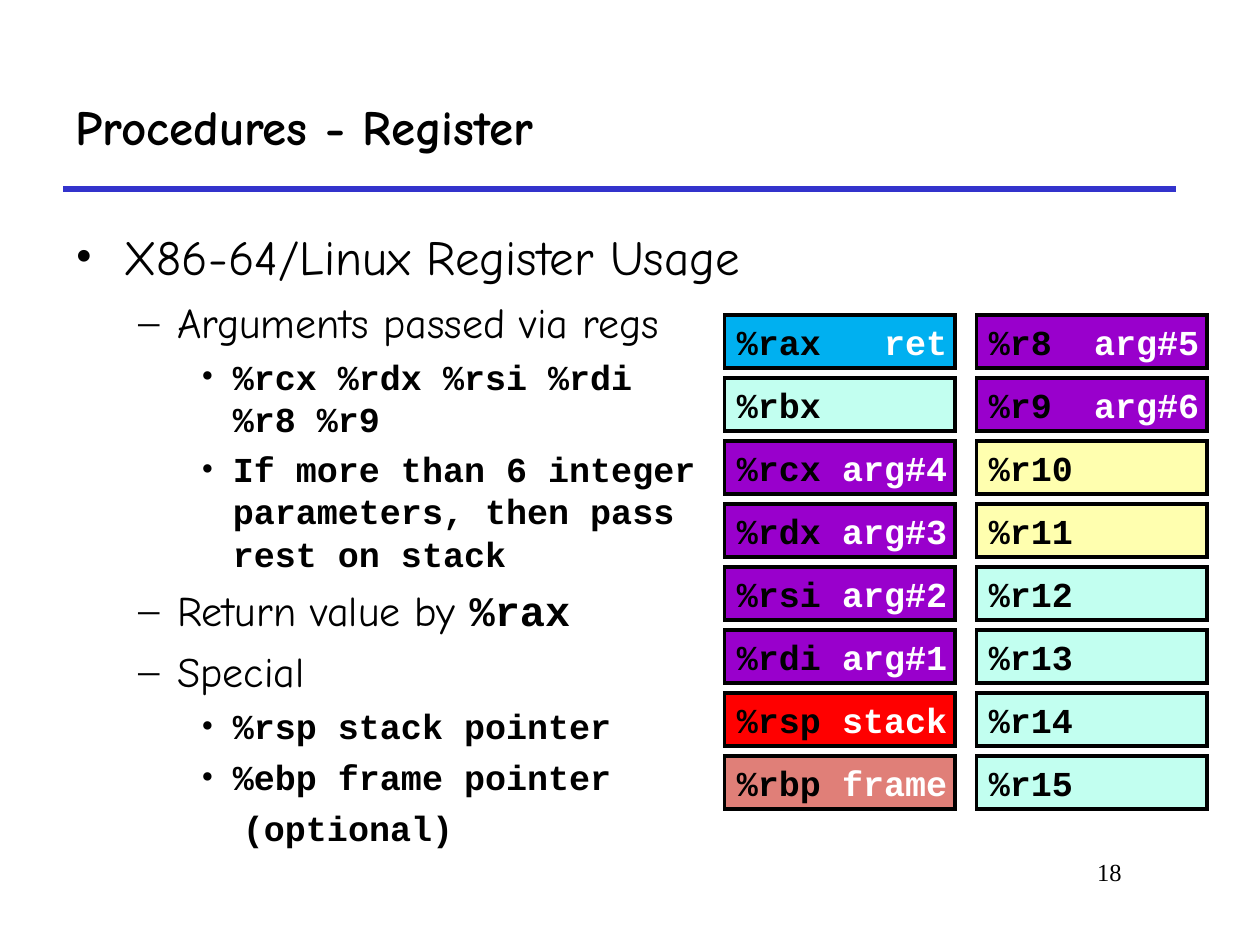
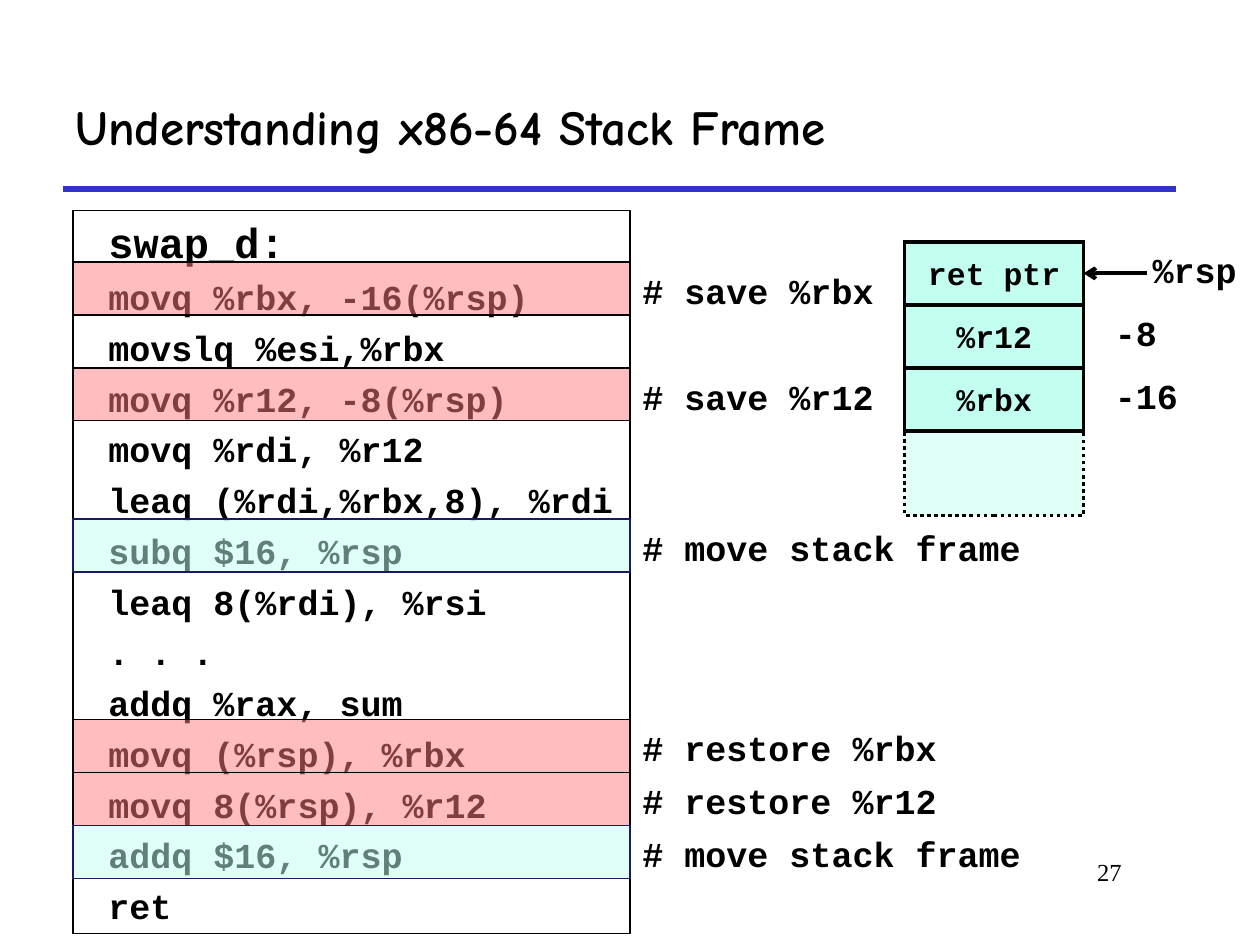
from typing import NamedTuple, Optional

from pptx import Presentation
from pptx.dml.color import RGBColor
from pptx.enum.dml import MSO_LINE_DASH_STYLE as Dash
from pptx.enum.shapes import MSO_CONNECTOR as Connector, MSO_SHAPE as Shape
from pptx.enum.text import MSO_ANCHOR as Anchor, PP_ALIGN as Align
from pptx.oxml.ns import qn
from pptx.util import Inches, Pt
from lxml.etree import SubElement

BLACK = RGBColor(0x00, 0x00, 0x00)
WHITE = RGBColor(0xFF, 0xFF, 0xFF)
RULE_BLUE = RGBColor(0x33, 0x33, 0xCC)
NAVY = RGBColor(0x19, 0x19, 0x66)
MINT = RGBColor(0xC2, 0xFF, 0xF0)
PURPLE = RGBColor(0x99, 0x00, 0xCC)
SKY = RGBColor(0x00, 0xB0, 0xF0)
RED = RGBColor(0xFF, 0x00, 0x00)
ROSE = RGBColor(0xE0, 0x7F, 0x78)
YELLOW = RGBColor(0xFF, 0xFF, 0xAF)
SALMON = RGBColor(0xFF, 0x7C, 0x80)


class Style(NamedTuple):
    font: str
    size: float
    bold: bool = False
    colour: RGBColor = BLACK


TITLE = Style("Comic Neue", 28, True)
TOPIC = Style("Comic Neue", 28)
SUBTOPIC = Style("Comic Neue", 24)
CODE_HEAD = Style("Courier New", 24, True)
CODE = Style("Courier New", 20, True)
CODE_ROLE = Style("Courier New", 20, True, WHITE)
CODE_SMALL = Style("Courier New", 18, True)
PAGE_NUMBER = Style("Times New Roman", 14)


class Area(NamedTuple):
    left: float
    top: float
    width: float
    height: float

    def lengths(self) -> list:
        return [Inches(value) for value in self]


class Insets(NamedTuple):
    left: float = 0.1
    top: float = 0.05
    right: float = 0.1
    bottom: float = 0.05


class Level(NamedTuple):
    margin: float
    hanging: float
    before: float
    bullet: str
    style: Style


TOP = Level(0.38, 0.38, 7, "•", TOPIC)
DASHED = Level(0.81, 0.31, 6, "–", SUBTOPIC)
DETAIL = Level(1.25, 0.25, 5, "•", CODE)
CONTINUED = Level(1.33, 0, 5, "", CODE)


class Point(NamedTuple):
    level: Level
    text: str
    code: str = ""


class Register(NamedTuple):
    name: str
    fill: RGBColor = MINT
    role: str = ""


class Step(NamedTuple):
    top: float
    fill: RGBColor
    edge: RGBColor
    note: str


POINTS = [
    Point(TOP, "X86-64/Linux Register Usage"),
    Point(DASHED, "Arguments passed via regs"),
    Point(DETAIL, "%rcx %rdx %rsi %rdi\v%r8 %r9"),
    Point(DETAIL, "If more than 6 integer\vparameters, then pass\vrest on stack"),
    Point(DASHED, "Return value by ", "%rax"),
    Point(DASHED, "Special"),
    Point(DETAIL, "%rsp stack pointer"),
    Point(DETAIL, "%ebp frame pointer"),
    Point(CONTINUED, "(optional)"),
]

REGISTER_COLUMNS = [
    [
        Register("%rax", SKY, "ret"),
        Register("%rbx"),
        Register("%rcx", PURPLE, "arg#4"),
        Register("%rdx", PURPLE, "arg#3"),
        Register("%rsi", PURPLE, "arg#2"),
        Register("%rdi", PURPLE, "arg#1"),
        Register("%rsp", RED, "stack"),
        Register("%rbp", ROSE, "frame"),
    ],
    [
        Register("%r8", PURPLE, "arg#5"),
        Register("%r9", PURPLE, "arg#6"),
        Register("%r10", YELLOW),
        Register("%r11", YELLOW),
        Register("%r12"),
        Register("%r13"),
        Register("%r14"),
        Register("%r15"),
    ],
]

SWAP_CODE = [
    "swap_d:",
    "movq %rbx, -16(%rsp)",
    "movslq %esi,%rbx",
    "movq %r12, -8(%rsp)",
    "movq %rdi, %r12",
    "leaq (%rdi,%rbx,8), %rdi",
    "subq $16, %rsp",
    "leaq 8(%rdi), %rsi",
    ". . .",
    "addq %rax, sum",
    "movq (%rsp), %rbx",
    "movq 8(%rsp), %r12",
    "addq $16, %rsp",
    "ret",
]

STEPS = [
    Step(2.08, SALMON, BLACK, "# save %rbx"),
    Step(2.92, SALMON, BLACK, "# save %r12"),
    Step(4.12, MINT, NAVY, "# move stack frame"),
    Step(5.71, SALMON, BLACK, "# restore %rbx"),
    Step(6.13, SALMON, BLACK, "# restore %r12"),
    Step(6.55, MINT, NAVY, "# move stack frame"),
]

STACK_CELLS = ["ret ptr", "%r12", "%rbx"]


def apply_style(span, style: Style) -> None:
    span.font.name = style.font
    span.font.size = Pt(style.size)
    span.font.bold = style.bold
    span.font.color.rgb = style.colour


def write(para, text: str, style: Style, align=Align.LEFT) -> None:
    para.text = text
    para.alignment = align
    for span in para.runs:
        apply_style(span, style)


def append_span(para, text: str, style: Style) -> None:
    span = para.add_run()
    span.text = text
    apply_style(span, style)


def prepare_frame(shape, insets: Insets, anchor=Anchor.TOP):
    frame = shape.text_frame
    frame.word_wrap = True
    frame.vertical_anchor = anchor
    frame.margin_left, frame.margin_top, frame.margin_right, frame.margin_bottom = (
        Inches(value) for value in insets
    )
    return frame


def add_text(page, area: Area, text: str, style: Style, insets: Insets = Insets(),
             anchor=Anchor.TOP, align=Align.LEFT) -> None:
    box = page.shapes.add_textbox(*area.lengths())
    write(prepare_frame(box, insets, anchor).paragraphs[0], text, style, align)


def add_box(page, area: Area, fill: RGBColor, edge: RGBColor = BLACK,
            weight: float = 2, opacity: Optional[int] = None):
    box = page.shapes.add_shape(Shape.RECTANGLE, *area.lengths())
    box.shadow.inherit = False
    box.fill.solid()
    box.fill.fore_color.rgb = fill
    box.line.color.rgb = edge
    box.line.width = Pt(weight)
    SubElement(box.line._get_or_add_ln(), qn("a:miter"), lim="800000")
    if opacity is not None:
        colour = box.fill._xPr.find(qn("a:solidFill"))[0]
        SubElement(colour, qn("a:alpha"), val=str(opacity * 1000))
    return box


def add_line(page, start: tuple, end: tuple, colour: RGBColor, weight: float):
    points = [Inches(value) for value in (*start, *end)]
    line = page.shapes.add_connector(Connector.STRAIGHT, *points)
    line.line.color.rgb = colour
    line.line.width = Pt(weight)
    SubElement(line._element.spPr, qn("a:effectLst"))
    return line


def add_page(deck, title: str, number: str):
    page = deck.slides.add_slide(deck.slide_layouts[6])
    add_line(page, (0.5, 1.5), (9.33, 1.5), RULE_BLUE, 3)
    add_text(page, Area(0.5, 0.5, 8.83, 1), title, TITLE, anchor=Anchor.MIDDLE)
    add_text(page, Area(7.58, 6.75, 1.42, 0.5), number, PAGE_NUMBER, align=Align.RIGHT)
    return page


def set_level(para, level: Level) -> None:
    props = para._p.get_or_add_pPr()
    props.set("marL", str(Inches(level.margin)))
    props.set("indent", str(-Inches(level.hanging)))
    if level.bullet:
        SubElement(props, qn("a:buFont"), typeface="Times New Roman")
        SubElement(props, qn("a:buChar"), char=level.bullet)


def add_points(page, points: list[Point]) -> None:
    box = page.shapes.add_textbox(*Area(0.5, 1.75, 9, 5.42).lengths())
    frame = prepare_frame(box, Insets())
    for index, point in enumerate(points):
        para = frame.add_paragraph() if index else frame.paragraphs[0]
        set_level(para, point.level)
        write(para, point.text, point.level.style)
        if index:
            para.space_before = Pt(point.level.before)
        if point.code:
            append_span(para, point.code, CODE_HEAD)


def add_register(page, left: float, top: float, register: Register) -> None:
    box = add_box(page, Area(left, top, 1.83, 0.42), register.fill)
    frame = prepare_frame(box, Insets(right=0.05), Anchor.MIDDLE)
    para = frame.paragraphs[0]
    if register.role:
        tabs = SubElement(para._p.get_or_add_pPr(), qn("a:tabLst"))
        SubElement(tabs, qn("a:tab"), pos=str(Inches(1.67)), algn="r")
    write(para, register.name, CODE)
    if register.role:
        append_span(para, "\t" + register.role, CODE_ROLE)


def add_code(page, lines: list[str]) -> None:
    box = add_box(page, Area(0.58, 1.67, 4.42, 5.74), WHITE, weight=0.75)
    frame = prepare_frame(box, Insets(left=0.28))
    frame.text = "\n".join(lines)
    for index, para in enumerate(frame.paragraphs):
        write(para, lines[index], CODE if index else CODE_HEAD)
        if index:
            para.space_before = Pt(5)


def add_label(page, left: float, top: float, width: float, text: str) -> None:
    add_text(page, Area(left, top, width, 0.44), text, CODE, Insets(right=0))


def add_stack(page) -> None:
    left, top, width, height = 7.18, 1.92, 1.42, 0.5
    frame = add_box(page, Area(left, top, width, 2.17), MINT, opacity=50)
    frame.line.dash_style = Dash.ROUND_DOT
    cells = []
    for row, name in enumerate(STACK_CELLS):
        cell = add_box(page, Area(left, top + row * height, width, height), MINT)
        text = prepare_frame(cell, Insets(0, 0, 0, 0), Anchor.MIDDLE)
        write(text.paragraphs[0], name, CODE_SMALL, Align.CENTER)
        cells.append(cell)
    middle = top + height / 2
    arrow = add_line(page, (9.1, middle), (left + width, middle), BLACK, 2.25)
    arrow.end_connect(cells[0], 3)
    SubElement(arrow.line._get_or_add_ln(), qn("a:tailEnd"), type="arrow")
    add_label(page, 9.05, top, 0.87, "%rsp")
    for row, offset in enumerate(["-8", "-16"], start=1):
        add_label(page, 8.75, top + row * height, 0.7, offset)


def build_register_page(deck) -> None:
    page = add_page(deck, "Procedures - Register", "18")
    add_points(page, POINTS)
    for column, registers in enumerate(REGISTER_COLUMNS):
        for row, register in enumerate(registers):
            add_register(page, 5.75 + column * 2, 2.5 + row * 0.5, register)


def build_stack_page(deck) -> None:
    page = add_page(deck, "Understanding x86-64 Stack Frame", "27")
    add_code(page, SWAP_CODE)
    for step in STEPS:
        add_box(page, Area(0.58, step.top, 4.42, 0.42), step.fill, step.edge, 0.75, 50)
        add_label(page, 5, step.top + 0.01, 3.4, step.note)
    add_stack(page)


def main() -> None:
    deck = Presentation()
    deck.slide_width, deck.slide_height = Inches(10), Inches(7.5)
    build_register_page(deck)
    build_stack_page(deck)
    deck.save("out.pptx")


if __name__ == "__main__":
    main()
